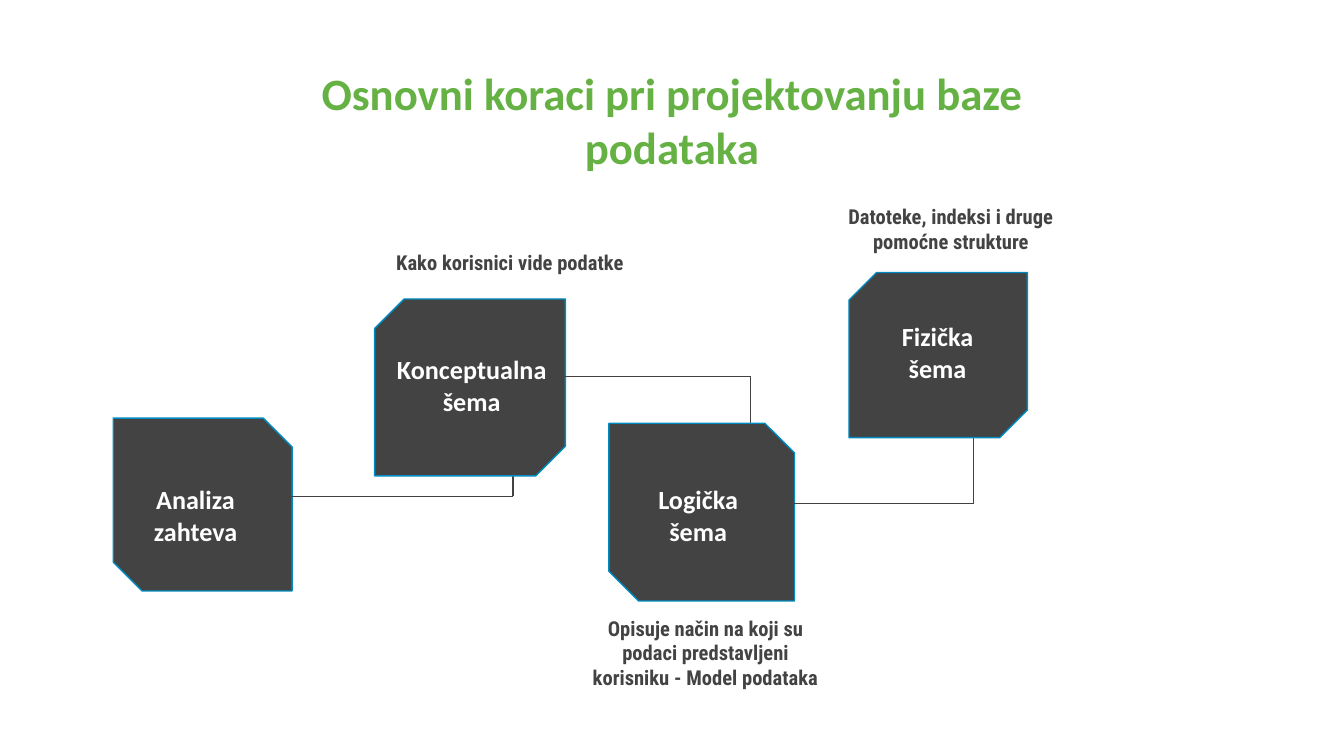
from lxml import etree
from pptx import Presentation
from pptx.dml.color import RGBColor
from pptx.enum.shapes import MSO_CONNECTOR, MSO_SHAPE
from pptx.enum.text import MSO_ANCHOR, PP_ALIGN
from pptx.oxml.ns import qn
from pptx.util import Pt

LINE = MSO_CONNECTOR.STRAIGHT
SNIP = MSO_SHAPE.SNIP_2_DIAG_RECTANGLE
CENTER = PP_ALIGN.CENTER
TOP, MIDDLE = MSO_ANCHOR.TOP, MSO_ANCHOR.MIDDLE

GREEN = RGBColor(0x65, 0xB1, 0x44)
DARK = RGBColor(0x43, 0x43, 0x43)
BLUE = RGBColor(0x00, 0x8C, 0xC1)
WHITE = RGBColor(0xFF, 0xFF, 0xFF)

PAD = 7.2
CUT = 0.167

deck = Presentation()
deck.slide_width, deck.slide_height = Pt(720), Pt(405)
slide = deck.slides.add_slide(deck.slide_layouts[6])
shapes = slide.shapes


def add_text(text, area, size=14, font="Calibri", color=WHITE, anchor=TOP, foot=PAD):
    """Add bold centred text; foot is the bottom inset."""
    frame = shapes.add_textbox(*map(Pt, area)).text_frame
    frame.word_wrap = True
    frame.vertical_anchor = anchor
    frame.margin_left = frame.margin_right = frame.margin_top = Pt(PAD)
    frame.margin_bottom = Pt(foot)
    para = frame.paragraphs[0]
    para.alignment = CENTER
    run = para.add_run()
    run.text = text
    run.font.size = Pt(size)
    run.font.name = font
    run.font.bold = True
    run.font.color.rgb = color


add_text("Osnovni koraci pri projektovanju baze podataka",
         (154.8, 28, 410.4, 74.2), size=24, color=GREEN)

# Each step: box area, cuts (falling, rising diagonal), path to the next step.
# The next box covers the end of the path.
steps = [
    ((60.7, 224, 95.8, 92.6), (0, CUT), [(111.6, 265.9), (274.8, 265.9), (274.8, 173.5)]),
    ((200.7, 160.2, 102.2, 94.8), (CUT, 0), [(241.2, 201.7), (402, 201.7), (402, 298.8)]),
    ((326.2, 226.8, 99.4, 95.2), (0, CUT), [(365, 269.9), (521.5, 269.9), (521.5, 175)]),
    ((454.8, 146, 95.6, 88.4), (CUT, 0), []),
]
for area, cuts, path in steps:
    box = shapes.add_shape(SNIP, *map(Pt, area))
    box.shadow.inherit = False
    box.adjustments[0], box.adjustments[1] = cuts
    box.fill.solid()
    box.fill.fore_color.rgb = DARK
    box.line.color.rgb = BLUE
    box.line.width = Pt(0.75)
    for start, end in zip(path, path[1:]):
        line = shapes.add_connector(LINE, *map(Pt, start + end))
        line.line.color.rgb = DARK
        line.line.width = Pt(0.75)
        etree.SubElement(line._element.spPr, qn("a:effectLst"))

add_text("Analiza zahteva", (60.5, 252, 88.6, 31))
add_text("Konceptualna šema", (196.6, 182.2, 112.3, 49.7))
add_text("Fizička šema", (463, 172.1, 78.5, 49.7), anchor=MIDDLE, foot=24)
add_text("Logička šema", (334.8, 252, 78.5, 54.7))

notes = [
    ("Kako korisnici vide podatke", (200.9, 127.4, 144.7, 47.5)),
    ("Opisuje način na koji su podaci predstavljeni korisniku - Model podataka",
     (308.9, 322.6, 138.2, 47.5)),
    ("Datoteke, indeksi i druge pomoćne strukture", (447.1, 102.2, 124.6, 47.5)),
]
for text, area in notes:
    add_text(text, area, size=11, font="Roboto Condensed", color=DARK)

deck.save("out.pptx")
